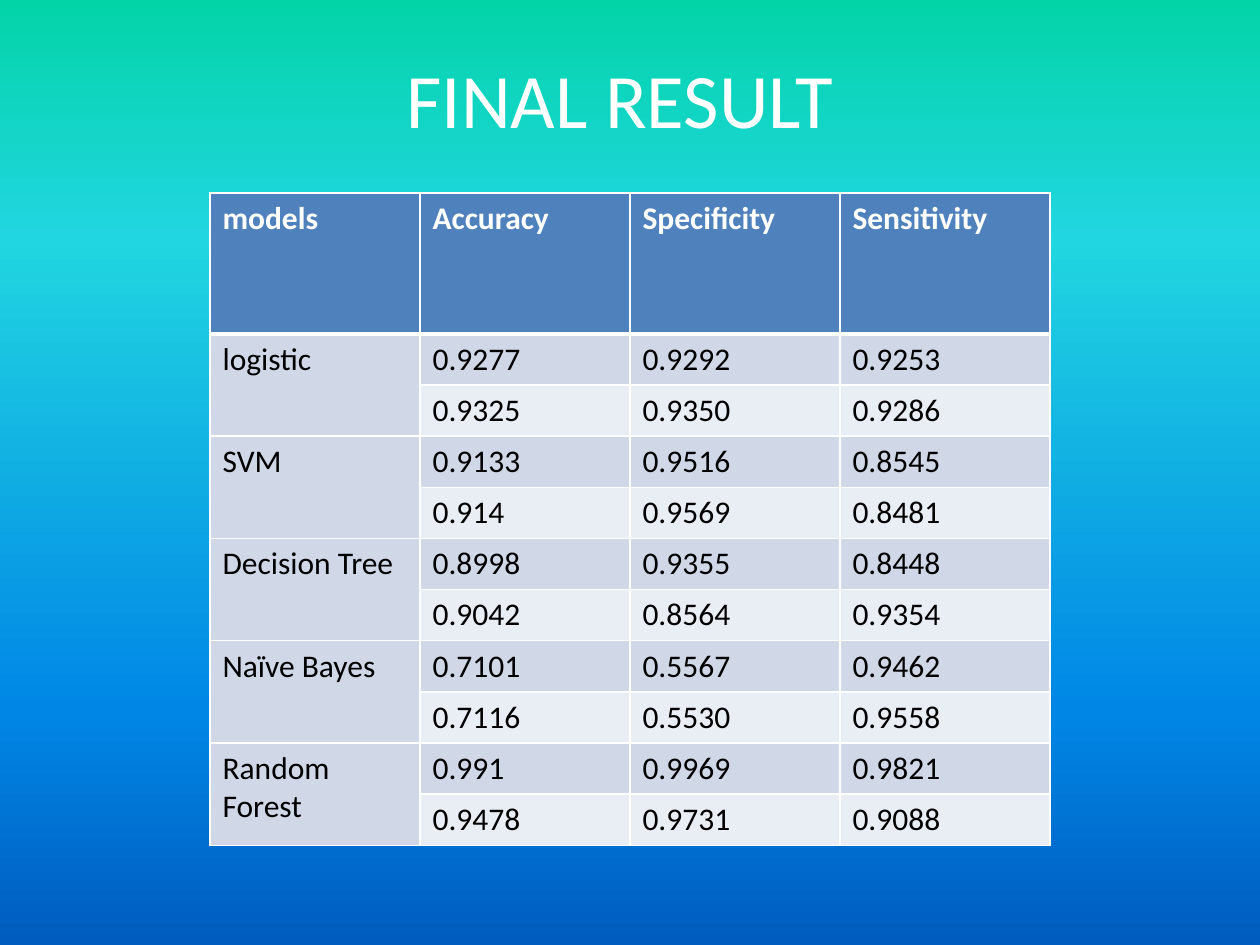
import dataclasses

import pptx
import pptx.dml.color
import pptx.enum.text
import pptx.oxml
import pptx.oxml.ns
import pptx.util

FONT = "Calibri"
WHITE, BLACK = "FFFFFF", "000000"
HEADER_FILL, BAND_DARK, BAND_LIGHT = "4F81BD", "D0D8E8", "E9EDF4"
SLIDE_W, SLIDE_H = 10, 7.5
COLUMN_W = SLIDE_W / 6
HEADER_H, ROW_H = 1.12, 4.06 / 10
TABLE_TOP = 1.53
BACKGROUND_STOPS = {0: "03D4A8", 25: "21D6E0", 75: "0087E6", 100: "005CBF"}
HEADINGS = ("models", "Accuracy", "Specificity", "Sensitivity")


@dataclasses.dataclass(frozen=True)
class Model:
    """A model and its two rows of scores."""
    name: str
    scores: tuple[tuple[str, str, str], tuple[str, str, str]]


MODELS = (
    Model("logistic", (("0.9277", "0.9292", "0.9253"), ("0.9325", "0.9350", "0.9286"))),
    Model("SVM", (("0.9133", "0.9516", "0.8545"), ("0.914", "0.9569", "0.8481"))),
    Model("Decision Tree", (("0.8998", "0.9355", "0.8448"), ("0.9042", "0.8564", "0.9354"))),
    Model("Naïve Bayes", (("0.7101", "0.5567", "0.9462"), ("0.7116", "0.5530", "0.9558"))),
    Model("Random Forest", (("0.991", "0.9969", "0.9821"), ("0.9478", "0.9731", "0.9088"))),
)


def color(hex_code: str) -> pptx.dml.color.RGBColor:
    """Turn a hex string into a colour."""
    return pptx.dml.color.RGBColor.from_string(hex_code)


def inches(length: float) -> pptx.util.Emu:
    """Turn inches into a length."""
    return pptx.util.Inches(length)


def add_run(paragraph, text: str, size: float, hex_code: str, bold: bool = False) -> None:
    """Add one formatted run to a paragraph."""
    run = paragraph.add_run()
    run.text = text
    run.font.name = FONT
    run.font.size = pptx.util.Pt(size)
    run.font.bold = bold
    run.font.color.rgb = color(hex_code)


def paint_background(slide) -> None:
    """Fill the slide with the vertical gradient."""
    fill = slide.background.fill
    fill.gradient()
    fill.gradient_angle = 270
    stops = next(slide.element.iter(pptx.oxml.ns.qn("a:gsLst")))
    for stop in list(stops):
        stops.remove(stop)
    for percent, hex_code in BACKGROUND_STOPS.items():
        stops.append(pptx.oxml.parse_xml(
            f'<a:gs {pptx.oxml.ns.nsdecls("a")} pos="{percent * 1000}">'
            f'<a:srgbClr val="{hex_code}"/></a:gs>'))


def add_title(slide, text: str) -> None:
    """Add the centred slide title."""
    title = slide.shapes.add_textbox(inches(1.85), inches(0.36), inches(6.14), inches(0.84))
    title.text_frame.word_wrap = True
    paragraph = title.text_frame.paragraphs[0]
    paragraph.alignment = pptx.enum.text.PP_ALIGN.CENTER
    add_run(paragraph, text, 44, WHITE)


def style_cell(cell, fill: str, top: float = 1, bottom: float = 1) -> None:
    """Give a cell its fill and white borders, with widths in points."""
    properties = cell._tc.get_or_add_tcPr()
    for side, width in (("L", 1), ("R", 1), ("T", top), ("B", bottom)):
        properties.append(pptx.oxml.parse_xml(
            f'<a:ln{side} {pptx.oxml.ns.nsdecls("a")} w="{pptx.util.Pt(width)}">'
            f'<a:solidFill><a:srgbClr val="{WHITE}"/></a:solidFill></a:ln{side}>'))
    cell.fill.solid()
    cell.fill.fore_color.rgb = color(fill)


def add_results(slide) -> None:
    """Add the table of scores, with two rows for each model."""
    rows, columns = 1 + 2 * len(MODELS), len(HEADINGS)
    table = slide.shapes.add_table(
        rows, columns, inches((SLIDE_W - columns * COLUMN_W) / 2), inches(TABLE_TOP),
        inches(columns * COLUMN_W), inches(HEADER_H + (rows - 1) * ROW_H)).table
    for column in table.columns:
        column.width = inches(COLUMN_W)
    for index, row in enumerate(table.rows):
        row.height = inches(ROW_H if index else HEADER_H)

    for column, heading in enumerate(HEADINGS):
        cell = table.cell(0, column)
        style_cell(cell, HEADER_FILL, bottom=3)
        add_run(cell.text_frame.paragraphs[0], heading, 18, WHITE, bold=True)

    for index, model in enumerate(MODELS):
        first = 1 + 2 * index
        table.cell(first, 0).merge(table.cell(first + 1, 0))
        for offset, scores in enumerate(model.scores):
            label = "" if offset else model.name
            for column, text in enumerate((label, *scores)):
                cell = table.cell(first + offset, column)
                fill = BAND_LIGHT if offset and column else BAND_DARK
                style_cell(cell, fill, top=3 if first + offset == 1 else 1)
                if text:
                    add_run(cell.text_frame.paragraphs[0], text, 18, BLACK)


def main() -> None:
    """Build and save the slide."""
    deck = pptx.Presentation()
    deck.slide_width, deck.slide_height = inches(SLIDE_W), inches(SLIDE_H)
    slide = deck.slides.add_slide(deck.slide_layouts[6])
    paint_background(slide)
    add_results(slide)
    add_title(slide, "FINAL RESULT")
    deck.save("out.pptx")


main()
